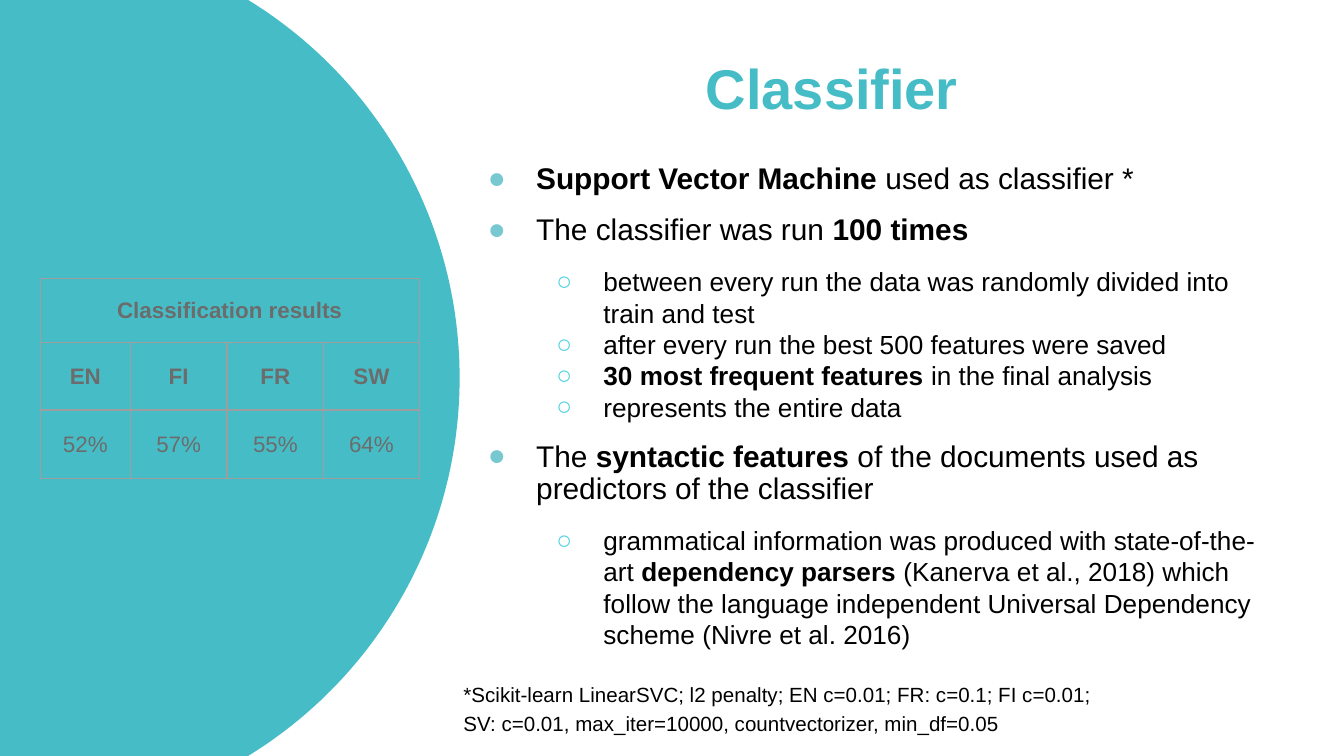
from math import asin, cos, sin

from lxml.etree import SubElement
from pptx import Presentation
from pptx.dml.color import RGBColor
from pptx.enum.text import MSO_ANCHOR, PP_ALIGN
from pptx.oxml import parse_xml
from pptx.oxml.ns import nsdecls, qn
from pptx.util import Inches, Pt

WIDTH = 10
HEIGHT = WIDTH * 9 / 16
TEAL = RGBColor(0x46, 0xBD, 0xC6)
LIGHT_TEAL = RGBColor(0x78, 0xC8, 0xD2)
CYAN = RGBColor(0x4D, 0xD0, 0xE1)
GRAY = RGBColor(0x6C, 0x6C, 0x6C)
BORDER_GRAY = RGBColor(0x9E, 0x9E, 0x9E)
BLACK = RGBColor(0, 0, 0)

# Outline level: bullet, bullet colour, text size, left margin, hang, line spacing
LEVELS = [
    ("●", LIGHT_TEAL, 16, 0.5, 0.36, 0.9),
    ("○", CYAN, 14, 1, 0.35, 1.0),
]

# Level, space before, text with **bold** parts
OUTLINE = [
    (0, 8, "**Support Vector Machine** used as classifier *"),
    (0, 10, "The classifier was run **100 times**"),
    (1, 10, "between every run the data was randomly divided into train and test"),
    (1, 0, "after every run the best 500 features were saved"),
    (1, 0, "**30 most frequent features** in the final analysis"),
    (1, 0, "represents the entire data"),
    (0, 10, "The **syntactic features** of the documents used as predictors of the classifier"),
    (1, 10, "grammatical information was produced with state-of-the-art "
            "**dependency parsers** (Kanerva et al., 2018) which follow the language "
            "independent Universal Dependency scheme (Nivre et al. 2016)"),
]

FOOTNOTE = ("*Scikit-learn LinearSVC; l2 penalty; EN c=0.01; FR: c=0.1; FI c=0.01; "
            "SV: c=0.01, max_iter=10000, countvectorizer, min_df=0.05")

RESULTS = [
    ["Classification results", "", "", ""],
    ["EN", "FI", "FR", "SW"],
    ["52%", "57%", "55%", "64%"],
]


class SlideBuilder:
    font_name = "Arial"

    def __init__(self, slide):
        self.slide = slide

    def style(self, paragraph, size, color, bold=None):
        font = paragraph.font
        font.name, font.size, font.bold = self.font_name, Pt(size), bold
        font.color.rgb = color

    def round_panel(self, center_x, radius, steps=120):
        """Fill the left edge up to a circle that the slide cuts at top and bottom."""
        middle = HEIGHT / 2
        half_angle = asin(middle / radius)
        angles = [half_angle * (2 * i / steps - 1) for i in range(steps + 1)]
        arc = [(Inches(center_x + radius * cos(a)), Inches(middle + radius * sin(a)))
               for a in angles]
        outline = self.slide.shapes.build_freeform(0, 0)
        outline.add_line_segments(arc + [(0, Inches(HEIGHT))], close=True)
        panel = outline.convert_to_shape()
        panel.shadow.inherit = False
        panel.fill.solid()
        panel.fill.fore_color.rgb = TEAL
        panel.line.fill.background()

    def text_frame(self, left, top, width, height, inset_x=0.07, inset_y=0.04):
        box = self.slide.shapes.add_textbox(
            Inches(left), Inches(top), Inches(width), Inches(height))
        frame = box.text_frame
        frame.word_wrap = True
        frame.margin_left = frame.margin_right = Inches(inset_x)
        frame.margin_top = frame.margin_bottom = Inches(inset_y)
        return frame

    def title(self, text, *place):
        frame = self.text_frame(*place)
        frame.vertical_anchor = MSO_ANCHOR.MIDDLE
        heading = frame.paragraphs[0]
        heading.text = text
        heading.alignment = PP_ALIGN.CENTER
        self.style(heading, 30, TEAL, bold=True)

    def footnote(self, text, *place):
        note = self.text_frame(*place, inset_x=0.1, inset_y=0.1).paragraphs[0]
        note.text = text
        note.line_spacing = 1.15
        note.space_after = Pt(10)
        self.style(note, 11, BLACK)

    def outline(self, items, *place):
        frame = self.text_frame(*place)
        for index, (level, space_before, text) in enumerate(items):
            item = frame.add_paragraph() if index else frame.paragraphs[0]
            bullet, bullet_color, size, margin, hang, spacing = LEVELS[level]
            item.level = level
            item.line_spacing = spacing
            item.space_before = Pt(space_before)
            self.bullet(item, bullet, bullet_color, margin, hang)
            self.style(item, size, BLACK)
            for part, words in enumerate(text.split("**")):
                if words:
                    run = item.add_run()
                    run.text = words
                    run.font.bold = part % 2 == 1

    def bullet(self, paragraph, char, color, margin, hang):
        properties = paragraph._p.get_or_add_pPr()
        properties.set("marL", str(Inches(margin)))
        properties.set("indent", str(-Inches(hang)))
        bullet_color = SubElement(properties, qn("a:buClr"))
        SubElement(bullet_color, qn("a:srgbClr"), val=str(color))
        SubElement(properties, qn("a:buFont"), typeface=self.font_name)
        SubElement(properties, qn("a:buChar"), char=char)

    def results_table(self, rows, left, top, column_widths, row_heights):
        table = self.slide.shapes.add_table(
            len(rows), len(column_widths), Inches(left), Inches(top),
            Inches(sum(column_widths)), Inches(sum(row_heights))).table
        table.first_row = table.horz_banding = False
        for column, width in zip(table.columns, column_widths):
            column.width = Inches(width)
        for row, height in zip(table.rows, row_heights):
            row.height = Inches(height)
        for r, row in enumerate(rows):
            for c, text in enumerate(row):
                cell = table.cell(r, c)
                cell.fill.solid()
                cell.fill.fore_color.rgb = TEAL
                cell.vertical_anchor = MSO_ANCHOR.MIDDLE
                cell.margin_left = cell.margin_right = 0
                cell.margin_top = cell.margin_bottom = 0
                label = cell.text_frame.paragraphs[0]
                label.text = text
                label.alignment = PP_ALIGN.CENTER
                self.style(label, 12, GRAY, bold=r < 2)
                self.borders(cell)
        table.cell(0, 0).merge(table.cell(0, len(column_widths) - 1))

    def borders(self, cell):
        properties = cell._tc.get_or_add_tcPr()
        for position, side in enumerate("LRTB"):
            properties.insert(position, parse_xml(
                f'<a:ln{side} {nsdecls("a")} w="{Pt(0.75)}"><a:solidFill>'
                f'<a:srgbClr val="{BORDER_GRAY}"/></a:solidFill></a:ln{side}>'))


def main():
    presentation = Presentation()
    presentation.slide_width = Inches(WIDTH)
    presentation.slide_height = Inches(HEIGHT)
    builder = SlideBuilder(presentation.slides.add_slide(presentation.slide_layouts[6]))
    builder.round_panel(center_x=0.12, radius=3.3)
    builder.outline(OUTLINE, 3.42, 1.18, 6.13, 3.77)
    builder.title("Classifier", 5.1, 0.12, 2.18, 1.06)
    builder.footnote(FOOTNOTE, 3.35, 4.95, 5.02, 0.6)
    builder.results_table(RESULTS, 0.3, 2.07, column_widths=[0.67, 0.72, 0.72, 0.71],
                          row_heights=[0.48, 0.5, 0.51])
    presentation.save("out.pptx")


if __name__ == "__main__":
    main()
